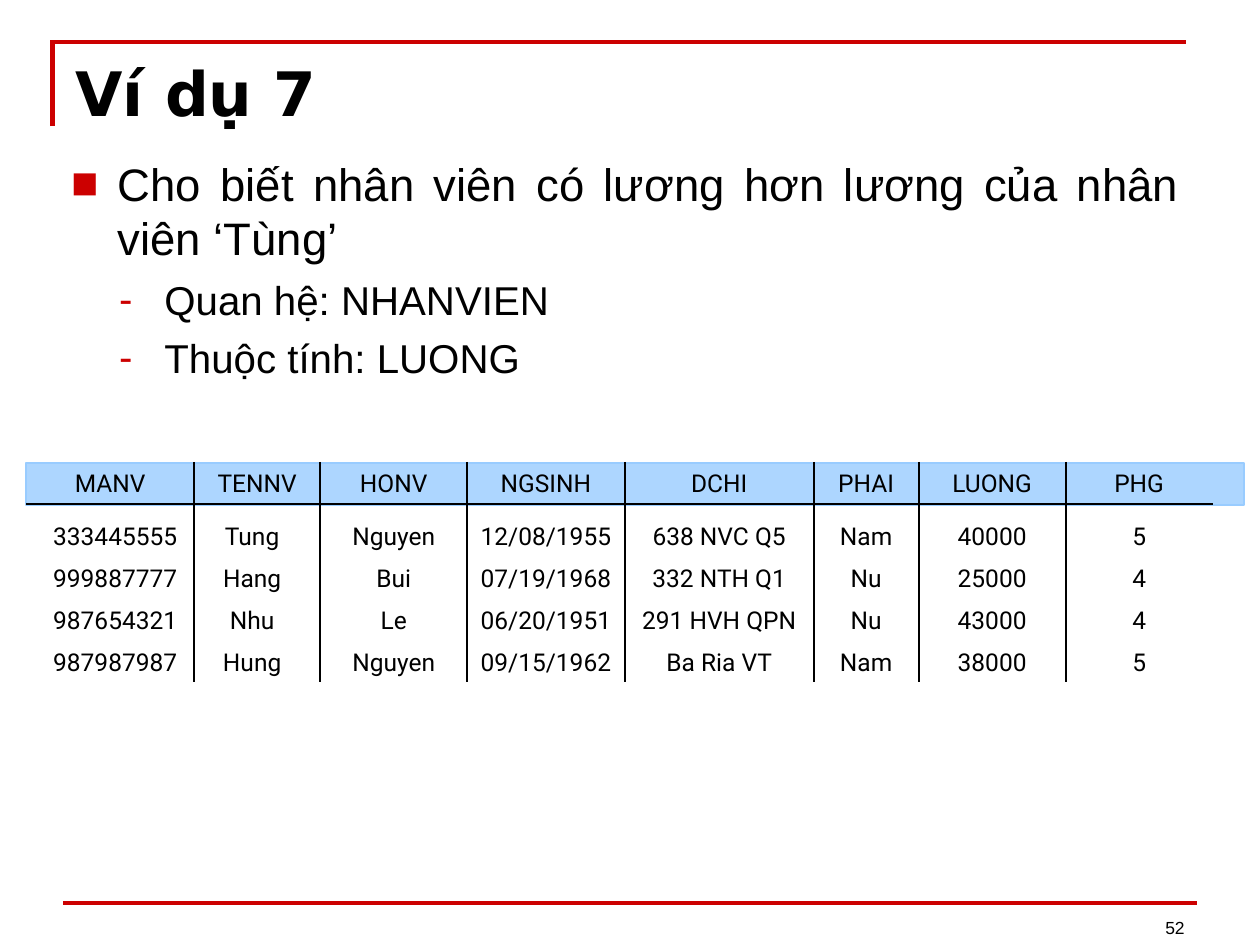
from itertools import accumulate
from lxml.etree import SubElement
from pptx import Presentation
from pptx.dml.color import RGBColor
from pptx.enum.shapes import MSO_CONNECTOR, MSO_SHAPE
from pptx.enum.text import MSO_ANCHOR, PP_ALIGN
from pptx.oxml.ns import qn
from pptx.util import Inches, Pt

RED, BLACK, BLUE = "CC0000", "000000", "99CCFF"
PLAIN = "{2D5ABB26-0587-4C30-8999-92F81FD0307C}"
LEFT, TOP = 2.5, 44
COLS = [16, 12, 14, 15, 18, 10, 14, 14]
ROWS = [4, 5, 4, 4, 4]
STAFF = [
    ["MANV", "TENNV", "HONV", "NGSINH", "DCHI", "PHAI", "LUONG", "PHG"],
    ["333445555", "Tung", "Nguyen", "12/08/1955", "638 NVC Q5", "Nam", "40000", "5"],
    ["999887777", "Hang", "Bui", "07/19/1968", "332 NTH Q1", "Nu", "25000", "4"],
    ["987654321", "Nhu", "Le", "06/20/1951", "291 HVH QPN", "Nu", "43000", "4"],
    ["987987987", "Hung", "Nguyen", "09/15/1962", "Ba Ria VT", "Nam", "38000", "5"],
]


def unit(count):
    """Turn steps of the 120 by 90 grid into a length."""
    return Inches(count / 12)


def paint(color, value):
    """Set a colour from a hex string."""
    color.rgb = RGBColor.from_string(value)


def stroke(line, value, width):
    """Style a line."""
    paint(line.color, value)
    line.width = Pt(width)


def write(para, text, size, font="Arial", bold=False):
    """Add one run to a paragraph."""
    run = para.add_run()
    run.text = text
    run.font.size, run.font.name, run.font.bold = Pt(size), font, bold
    paint(run.font.color, BLACK)


def add_box(slide, area, anchor=MSO_ANCHOR.TOP):
    """Add a wrapping text box and return its frame."""
    frame = slide.shapes.add_textbox(*map(unit, area)).text_frame
    frame.word_wrap = True
    frame.vertical_anchor = anchor
    return frame


def add_rule(slide, ends, value, width):
    """Draw a straight line between two grid points."""
    rule = slide.shapes.add_connector(MSO_CONNECTOR.STRAIGHT, *map(unit, ends))
    SubElement(rule._element.spPr, qn("a:effectLst"))
    stroke(rule.line, value, width)


def add_frame(slide):
    """Draw the red corner and the red foot line."""
    build = slide.shapes.build_freeform(unit(5), unit(12))
    build.add_line_segments([(unit(5), unit(4)), (unit(113), unit(4))], close=False)
    corner = build.convert_to_shape()
    corner.shadow.inherit = False
    corner.fill.background()
    stroke(corner.line, RED, 2.5)
    SubElement(corner._element.spPr.find(qn("a:ln")), qn("a:miter"), lim="800000")
    add_rule(slide, (6, 86, 114, 86), RED, 2)


def add_band(slide):
    """Draw the tinted band behind the table head."""
    band = slide.shapes.add_shape(
        MSO_SHAPE.RECTANGLE, *map(unit, (LEFT, TOP + 0.1, 116, 4)))
    band.shadow.inherit = False
    band.fill.solid()
    paint(band.fill.fore_color, BLUE)
    tint = band._element.spPr.find(qn("a:solidFill"))[0]
    SubElement(tint, qn("a:alpha"), val="80000")
    stroke(band.line, BLUE, 1)


def add_item(para, text, size, level, mark, left, hang, gap):
    """Fill a justified paragraph with a red bullet."""
    props = para._p.get_or_add_pPr()
    props.set("marL", str(Inches(left)))
    props.set("indent", str(Inches(-hang)))
    tone = SubElement(props, qn("a:buClr"))
    SubElement(tone, qn("a:srgbClr"), val=RED)
    SubElement(props, qn("a:buFont"), typeface="Arial")
    SubElement(props, qn("a:buChar"), char=mark)
    para.level, para.alignment = level, PP_ALIGN.JUSTIFY
    para.space_before = Pt(gap)
    write(para, text, size)


def add_body(slide):
    """Add the question and its two notes."""
    frame = add_box(slide, (5.6, 14.25, 108, 63.5))
    add_item(frame.paragraphs[0],
             "Cho biết nhân viên có lương hơn lương của nhân viên ‘Tùng’",
             26, 0, "■", 0.37, 0.37, 0)
    for text in ("Quan hệ: NHANVIEN", "Thuộc tính: LUONG"):
        add_item(frame.add_paragraph(), text, 23, 1, "-", 0.74, 0.36, 5.8)


def fill_cell(cell, text, row, col):
    """Write one table cell."""
    cell.fill.background()
    cell.vertical_anchor = MSO_ANCHOR.BOTTOM
    cell.margin_top = cell.margin_bottom = Inches(0.04)
    cell.margin_left = Inches(0.13 if row and col == 0 else 0.05)
    cell.margin_right = Inches(0.13 if row and col == 1 else 0.05)
    para = cell.text_frame.paragraphs[0]
    para.alignment = PP_ALIGN.CENTER
    write(para, text, 14, "Roboto")


def add_staff(slide):
    """Add the staff table and its rules."""
    wide, high = sum(COLS), sum(ROWS)
    table = slide.shapes.add_table(
        len(ROWS), len(COLS), *map(unit, (LEFT, TOP, wide, high))).table
    table.first_row = table.horz_banding = False
    table._tbl.tblPr.find(qn("a:tableStyleId")).text = PLAIN
    for col, width in enumerate(COLS):
        table.columns[col].width = unit(width)
    for row, height in enumerate(ROWS):
        table.rows[row].height = unit(height)
        for col, text in enumerate(STAFF[row]):
            fill_cell(table.cell(row, col), text, row, col)
    head = TOP + ROWS[0]
    add_rule(slide, (LEFT, head, LEFT + wide, head), BLACK, 1)
    for edge in accumulate(COLS[:-1]):
        add_rule(slide, (LEFT + edge, TOP, LEFT + edge, TOP + high), BLACK, 1)


def main():
    """Build and save the slide."""
    deck = Presentation()
    deck.slide_width, deck.slide_height = unit(120), unit(90)
    slide = deck.slides.add_slide(deck.slide_layouts[6])
    add_frame(slide)
    page = add_box(slide, (86, 83.9, 28, 6), MSO_ANCHOR.BOTTOM).paragraphs[0]
    page.alignment = PP_ALIGN.RIGHT
    write(page, "52", 10)
    title = add_box(slide, (6, 4.7, 112, 8.2), MSO_ANCHOR.BOTTOM)
    write(title.paragraphs[0], "Ví dụ 7", 35, "DejaVu Sans", True)
    add_body(slide)
    add_band(slide)
    add_staff(slide)
    deck.save("out.pptx")


if __name__ == "__main__":
    main()
